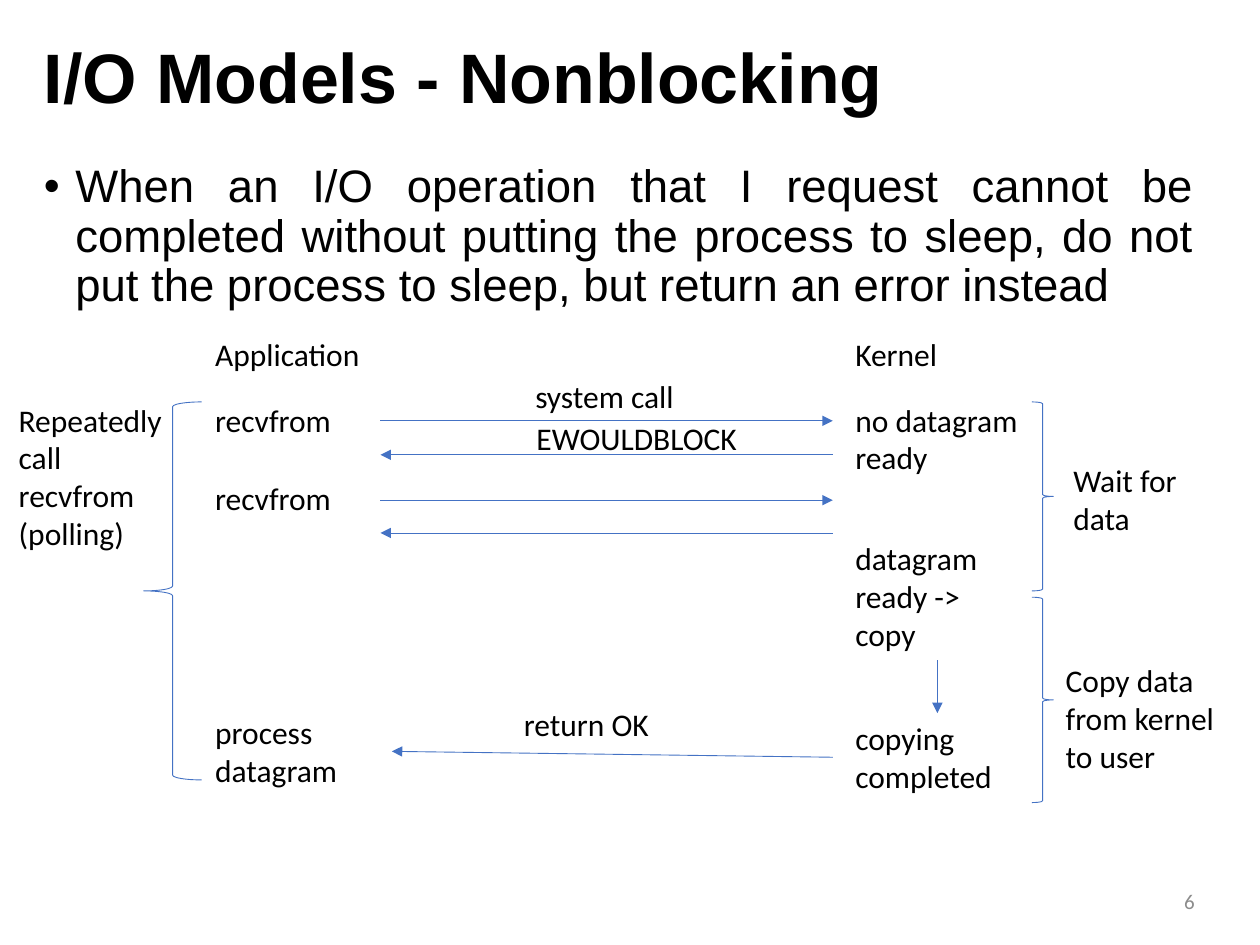
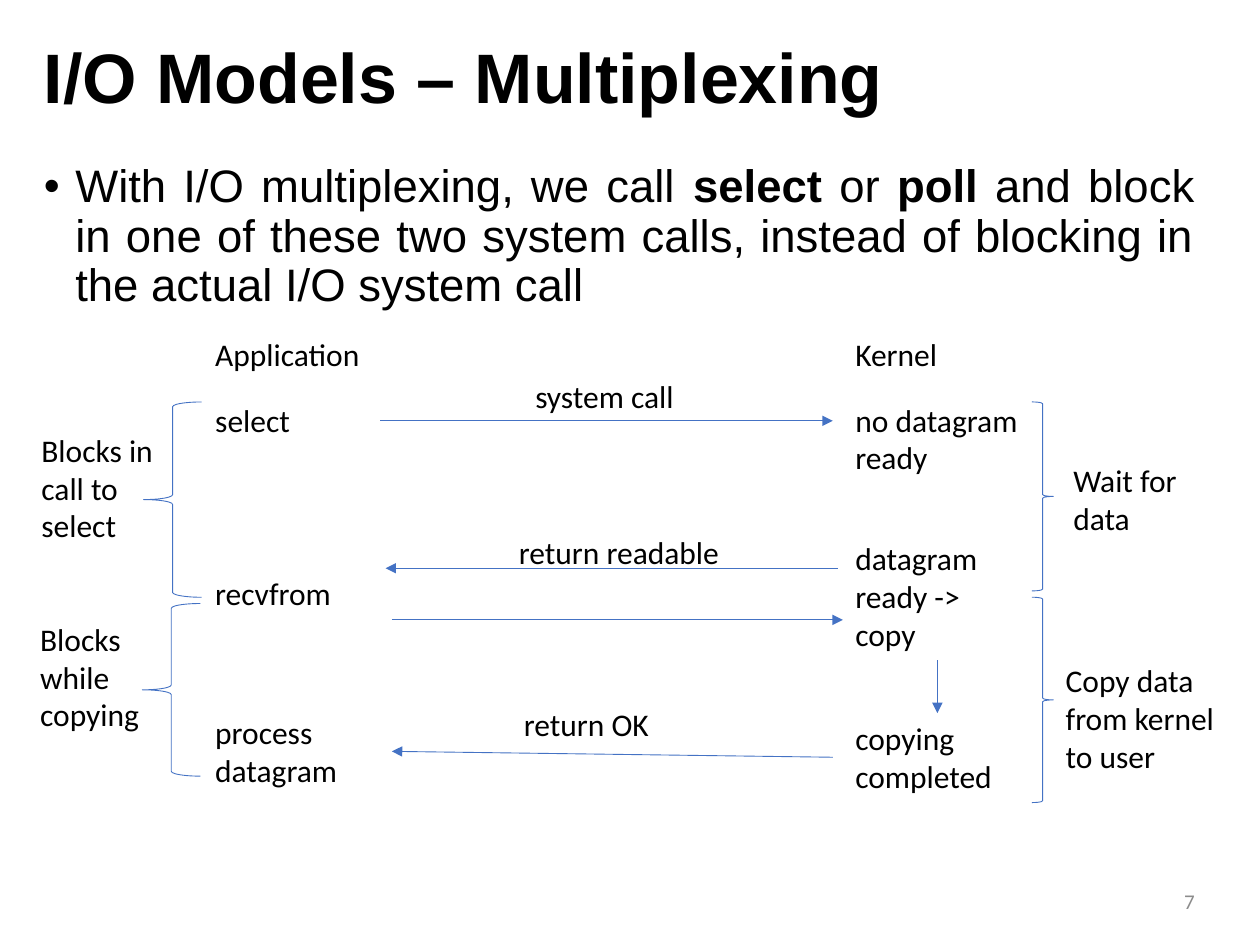
import dataclasses

import lxml.etree
import pptx
import pptx.dml.color
import pptx.enum.shapes
import pptx.enum.text
import pptx.oxml.ns
import pptx.util

qn = pptx.oxml.ns.qn
ALIGN = pptx.enum.text.PP_ALIGN
SHAPES = pptx.enum.shapes.MSO_SHAPE
TOP, BOTTOM, RIGHT = 0, 2, 3  # connection sites


@dataclasses.dataclass(frozen=True)
class Theme:
    ink: str = "000000"
    muted: str = "8C8C8C"
    accent: str = "4472C4"
    head_font: str = "Arial"
    label_font: str = "Calibri"
    title_size: int = 40
    body_size: int = 26
    label_size: int = 18
    number_size: int = 12
    line_width: float = 0.5


THEME = Theme()

# The page is a grid of 100 columns by 75 rows
PAGE_WIDTH, PAGE_HEIGHT = 10, 7.5
CELL = PAGE_WIDTH / 100


@dataclasses.dataclass(frozen=True)
class Box:
    """A region of the page grid, in columns and rows."""
    column: float
    row: float
    columns: float
    rows: float

    def inner(self, column, row, columns, rows):
        return Box(self.column + column, self.row + row, columns, rows)

    def point(self, column, row):
        return cells(self.column + column), cells(self.row + row)

    def frame(self):
        return [cells(n) for n in (self.column, self.row, self.columns, self.rows)]


TITLE_BOX = Box(2.5, 1.3, 93.3, 10.3)
BODY_BOX = Box(2.5, 12.5, 93.3, 55.1)
NUMBER_BOX = Box(70.6, 69.5, 25.2, 4)
DIAGRAM_BOX = Box(0, 26, 100, 38)

# Diagram columns
APPLICATION, KERNEL = 16.1, 66.9
ARROW_LEFT, ARROW_RIGHT = 30.2, 66.1
LABEL_COLUMNS = 15
BRACE_LEFT, BRACE_RIGHT = 11.4, 81.9

# Diagram rows
HEADING_ROW, CALL_ROW, READY_ROW = 0.1, 5.3, 16.3
PROCESS_ROW, COMPLETED_ROW = 30.1, 30.6
BRACE_ROW = 5.9


def cells(count):
    return pptx.util.Inches(count * CELL)


def colour(code):
    return pptx.dml.color.RGBColor.from_string(code)


def add_text(page, box, spans, font, size, ink=THEME.ink, align=ALIGN.LEFT, middle=False):
    """Write one paragraph made of (text, bold) spans."""
    shape = page.shapes.add_textbox(*box.frame())
    frame = shape.text_frame
    frame.word_wrap = True
    if middle:
        frame.vertical_anchor = pptx.enum.text.MSO_ANCHOR.MIDDLE
    para = frame.paragraphs[0]
    para.alignment = align
    for text, bold in spans:
        span = para.add_run()
        span.text = text
        span.font.name = font
        span.font.size = pptx.util.Pt(size)
        span.font.bold = bold
        span.font.color.rgb = colour(ink)
    return shape


def add_label(page, box, column, row, text, lines=1, columns=LABEL_COLUMNS):
    area = box.inner(column, row, columns, 1 + 3.03 * lines)
    shape = add_text(page, area, [(text, False)], THEME.label_font, THEME.label_size)
    shape.text_frame.auto_size = pptx.enum.text.MSO_AUTO_SIZE.SHAPE_TO_FIT_TEXT
    return shape


def style_line(shape):
    shape.line.color.rgb = colour(THEME.accent)
    shape.line.width = pptx.util.Pt(THEME.line_width)


def add_arrow(page, box, start, end):
    arrow = page.shapes.add_connector(
        pptx.enum.shapes.MSO_CONNECTOR.STRAIGHT, *box.point(*start), *box.point(*end))
    style_line(arrow)
    properties = arrow._element.spPr
    lxml.etree.SubElement(properties.find(qn("a:ln")), qn("a:tailEnd"), type="triangle")
    lxml.etree.SubElement(properties, qn("a:effectLst"))
    return arrow


def add_brace(page, box, kind, column, row, columns, rows):
    brace = page.shapes.add_shape(kind, *box.inner(column, row, columns, rows).frame())
    brace.shadow.inherit = False
    brace.fill.background()
    style_line(brace)


def add_left_brace(page, box, row, rows, column=BRACE_LEFT):
    add_brace(page, box, SHAPES.LEFT_BRACE, column, row, 4.6, rows)


def add_right_brace(page, box, row, rows):
    add_brace(page, box, SHAPES.RIGHT_BRACE, BRACE_RIGHT, row, 1.7, rows)


def add_title(page, box, text):
    shape = add_text(page, box, [(text, True)], THEME.head_font, THEME.title_size, middle=True)
    shape.text_frame.paragraphs[0].line_spacing = 0.9


def add_body(page, box, spans):
    shape = add_text(page, box, spans, THEME.head_font, THEME.body_size, align=ALIGN.JUSTIFY)
    para = shape.text_frame.paragraphs[0]
    para.line_spacing = 0.9
    para.space_before = pptx.util.Pt(10)
    # Hanging bullet
    properties = para._p.get_or_add_pPr()
    indent = cells(2.5)
    properties.set("marL", str(indent))
    properties.set("indent", str(-indent))
    lxml.etree.SubElement(properties, qn("a:buFont"), typeface=THEME.head_font)
    lxml.etree.SubElement(properties, qn("a:buChar"), char="•")


def add_number(page, box, number):
    add_text(page, box, [(str(number), False)], THEME.label_font, THEME.number_size,
             THEME.muted, ALIGN.RIGHT, middle=True)


def add_shared_exchange(page, box, first_call):
    """Draw the steps that both I/O models have in common."""
    # Application side
    add_label(page, box, APPLICATION, HEADING_ROW, "Application")
    add_label(page, box, APPLICATION, CALL_ROW, first_call)
    process = add_label(page, box, APPLICATION, PROCESS_ROW, "process datagram", 2)

    # Kernel side
    add_label(page, box, KERNEL, HEADING_ROW, "Kernel")
    add_label(page, box, KERNEL, CALL_ROW, "no datagram ready", 2)
    ready = add_label(page, box, KERNEL, READY_ROW, "datagram ready -> copy", 3)
    completed = add_label(page, box, KERNEL, COMPLETED_ROW, "copying completed", 2)

    # First call, copy step and final return
    add_arrow(page, box, (ARROW_LEFT, 7.4), (ARROW_RIGHT, 7.4))
    add_label(page, box, 41.5, 3.4, "system call")
    copy_arrow = add_arrow(page, box, (74.4, 26.1), (74.4, 30.1))
    copy_arrow.begin_connect(ready, BOTTOM)
    copy_arrow.end_connect(completed, TOP)
    return_arrow = add_arrow(page, box, (ARROW_RIGHT, 34.1), (31.1, 33.6))
    return_arrow.end_connect(process, RIGHT)
    add_label(page, box, 40.6, 29.5, "return OK")

    # Kernel phases
    add_right_brace(page, box, BRACE_ROW, 15)
    add_label(page, box, 84.2, 10.1, "Wait for data", 2)
    add_right_brace(page, box, 21.4, 16.3)
    add_label(page, box, 83.6, 26, "Copy data from kernel to user", 3)


def add_nonblocking_diagram(page, box):
    add_shared_exchange(page, box, "recvfrom")
    add_label(page, box, 41.6, 6.8, "EWOULDBLOCK", columns=18.6)
    add_label(page, box, APPLICATION, 11.5, "recvfrom")

    # Refused call, then a second call and its refusal
    add_arrow(page, box, (ARROW_RIGHT, 10.1), (ARROW_LEFT, 10.1))
    add_arrow(page, box, (ARROW_LEFT, 13.7), (ARROW_RIGHT, 13.7))
    add_arrow(page, box, (ARROW_RIGHT, 16.3), (ARROW_LEFT, 16.3))

    # Polling phase
    add_left_brace(page, box, BRACE_ROW, 30)
    add_label(page, box, 0.5, CALL_ROW, "Repeatedly call recvfrom (polling)", 4, 13.9)


def add_multiplexing_diagram(page, box):
    add_shared_exchange(page, box, "select")
    add_label(page, box, APPLICATION, 19.1, "recvfrom")

    # Readable notice and the call that follows it
    add_arrow(page, box, (66.5, 19.1), (30.6, 19.1))
    add_label(page, box, 40.2, 15.8, "return readable", columns=20)
    add_arrow(page, box, (31.1, 23.2), (66.9, 23.2))

    # Blocking phases
    add_left_brace(page, box, BRACE_ROW, 15.5)
    add_label(page, box, 2.3, 7.7, "Blocks in call to select", 3, 13.9)
    add_left_brace(page, box, 21.9, 13.7, BRACE_LEFT - 0.1)
    add_label(page, box, 2.2, 22.7, "Blocks while copying", 3, 13.9)


def add_model_page(deck, number, title, spans, add_diagram):
    page = deck.slides.add_slide(deck.slide_layouts[6])
    add_title(page, TITLE_BOX, title)
    add_body(page, BODY_BOX, spans)
    add_number(page, NUMBER_BOX, number)
    add_diagram(page, DIAGRAM_BOX)


def main():
    deck = pptx.Presentation()
    deck.slide_width = pptx.util.Inches(PAGE_WIDTH)
    deck.slide_height = pptx.util.Inches(PAGE_HEIGHT)
    add_model_page(deck, 6, "I/O Models - Nonblocking", [
        ("When an I/O operation that I request cannot be completed without putting "
         "the process to sleep, do not put the process to sleep, but return an error "
         "instead", False),
    ], add_nonblocking_diagram)
    add_model_page(deck, 7, "I/O Models – Multiplexing", [
        ("With I/O multiplexing, we call ", False),
        ("select", True),
        (" or ", False),
        ("poll", True),
        (" and block in one of these two system calls, instead of blocking in the "
         "actual I/O system call", False),
    ], add_multiplexing_diagram)
    deck.save("out.pptx")


if __name__ == "__main__":
    main()
